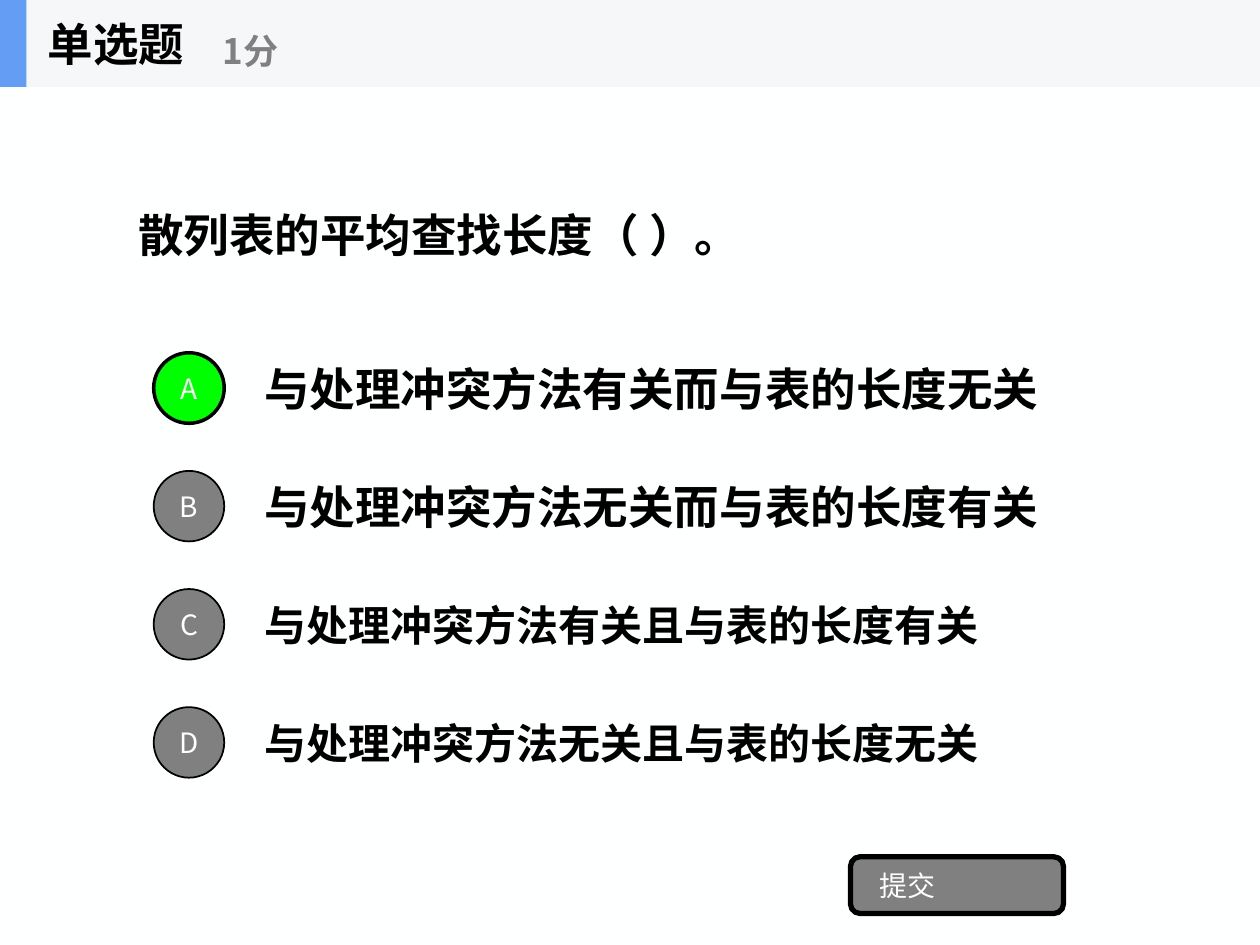
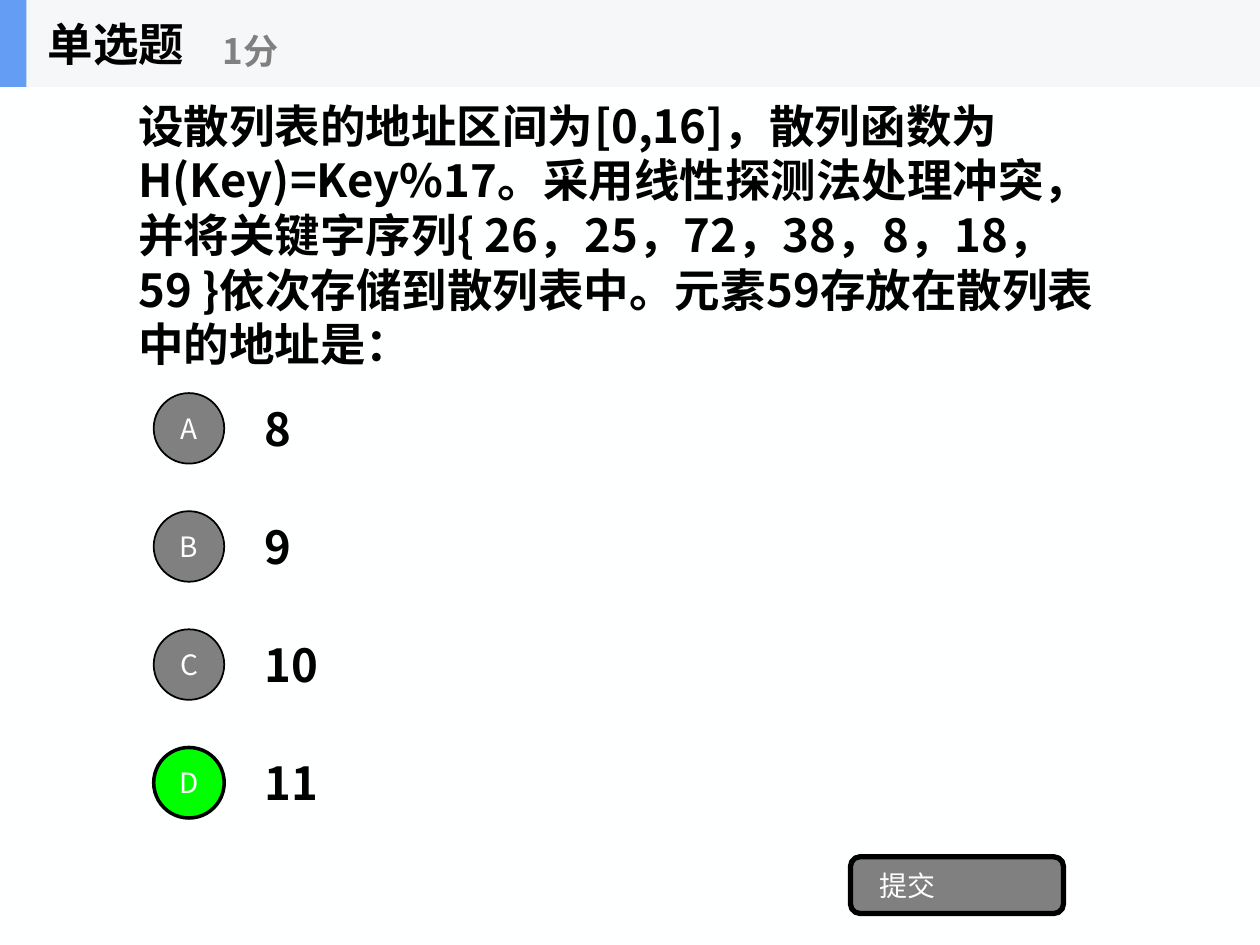
from lxml import etree
from pptx import Presentation
from pptx.dml.color import RGBColor
from pptx.enum.lang import MSO_LANGUAGE_ID
from pptx.enum.shapes import MSO_SHAPE
from pptx.enum.text import MSO_ANCHOR, PP_ALIGN
from pptx.oxml.ns import qn
from pptx.util import Inches, Pt

RECT, OVAL, ROUND = MSO_SHAPE.RECTANGLE, MSO_SHAPE.OVAL, MSO_SHAPE.ROUNDED_RECTANGLE
LEFT, CENTER = PP_ALIGN.LEFT, PP_ALIGN.CENTER
CHINESE = MSO_LANGUAGE_ID.SIMPLIFIED_CHINESE

FONT = "Noto Sans CJK SC"
COLORS = {
    "page": "FEFFFF", "band": "F6F7F8", "accent": "639EF4", "ink": "000000",
    "gray": "808080", "right": "00FF00", "white": "FFFFFF",
}
WIDTH, HEIGHT = 10, 7.5
BAND = 0.69             # header height
COLUMN = WIDTH / 10     # question starts at column 1, options at column 2
ROW = HEIGHT / 8        # distance between options
OPTION_HEIGHT = 0.7
DOT = 0.56

QUESTIONS = [
    {
        "text": "散列表的平均查找长度（ ）。",
        "options": [
            ("与处理冲突方法有关而与表的长度无关", 26),
            ("与处理冲突方法无关而与表的长度有关", 26),
            ("与处理冲突方法有关且与表的长度有关", 24),
            ("与处理冲突方法无关且与表的长度无关", 24),
        ],
        "answer": "A",
        "first_center": 3.08,
    },
    {
        "text": "设散列表的地址区间为[0,16]，散列函数为H(Key)=Key%17。"
                "采用线性探测法处理冲突，并将关键字序列"
                "{ 26，25，72，38，8，18，59 }依次存储到散列表中。"
                "元素59存放在散列表中的地址是：",
        "options": [("8", 26), ("9", 26), ("10", 26), ("11", 26)],
        "answer": "D",
        "first_center": 3.4,
    },
]


def rgb(name):
    return RGBColor.from_string(COLORS[name])


def write(shape, text, size=26, color="ink", bold=True, align=LEFT, margin=0.1):
    tf = shape.text_frame
    tf.word_wrap = True
    tf.vertical_anchor = MSO_ANCHOR.MIDDLE
    tf.margin_left = tf.margin_right = Inches(margin)
    p = tf.paragraphs[0]
    p.alignment = align
    r = p.add_run()
    r.text = text
    font = r.font
    font.name, font.size, font.bold = FONT, Pt(size), bold
    font.language_id = CHINESE
    font.color.rgb = rgb(color)
    etree.SubElement(r._r.get_or_add_rPr(), qn("a:ea"), typeface=FONT)


def add_text(shapes, box, text, **style):
    write(shapes.add_textbox(*map(Inches, box)), text, **style)


def add_box(shapes, kind, box, fill, line_width=0):
    sp = shapes.add_shape(kind, *map(Inches, box))
    sp.shadow.inherit = False
    sp.fill.solid()
    sp.fill.fore_color.rgb = rgb(fill)
    if line_width:
        sp.line.color.rgb = rgb("ink")
        sp.line.width = Pt(line_width)
    else:
        sp.line.fill.background()
    return sp


def add_header(s):
    shapes = s.shapes.add_group_shape().shapes
    add_box(shapes, RECT, (0, 0, WIDTH, BAND), "band")
    add_box(shapes, RECT, (0, 0, 0.21, BAND), "accent")
    add_text(shapes, (0.28, 0, 2.08, BAND), "单选题")
    add_text(shapes, (1.67, 0.12, 2.5, 0.56), "1分", size=20, color="gray")


def add_option(s, letter, text, size, center, correct):
    add_text(s.shapes, (2 * COLUMN, center - OPTION_HEIGHT / 2, 7 * COLUMN, OPTION_HEIGHT),
             text, size=size)
    fill, line_width = ("right", 2) if correct else ("gray", 1)
    box = (1.5 * COLUMN - DOT / 2, center - DOT / 2, DOT, DOT)
    dot = add_box(s.shapes, OVAL, box, fill, line_width)
    write(dot, letter, size=16, color="white", bold=False, align=CENTER, margin=0)


def add_submit_button(s):
    button = add_box(s.shapes, ROUND, (6.75, 6.8, 1.69, 0.45), "gray", 3)
    write(button, "提交", size=16, color="white", bold=False, margin=0.21)


def add_question(prs, question):
    s = prs.slides.add_slide(prs.slide_layouts[6])
    s.background.fill.solid()
    s.background.fill.fore_color.rgb = rgb("page")
    add_text(s.shapes, (COLUMN, BAND, 8 * COLUMN, 2.34), question["text"])
    for i, (letter, (text, size)) in enumerate(zip("ABCD", question["options"])):
        add_option(s, letter, text, size, question["first_center"] + i * ROW,
                   letter == question["answer"])
    add_submit_button(s)
    add_header(s)


def main():
    prs = Presentation()
    prs.slide_width, prs.slide_height = Inches(WIDTH), Inches(HEIGHT)
    for question in QUESTIONS:
        add_question(prs, question)
    prs.save("out.pptx")


if __name__ == "__main__":
    main()
